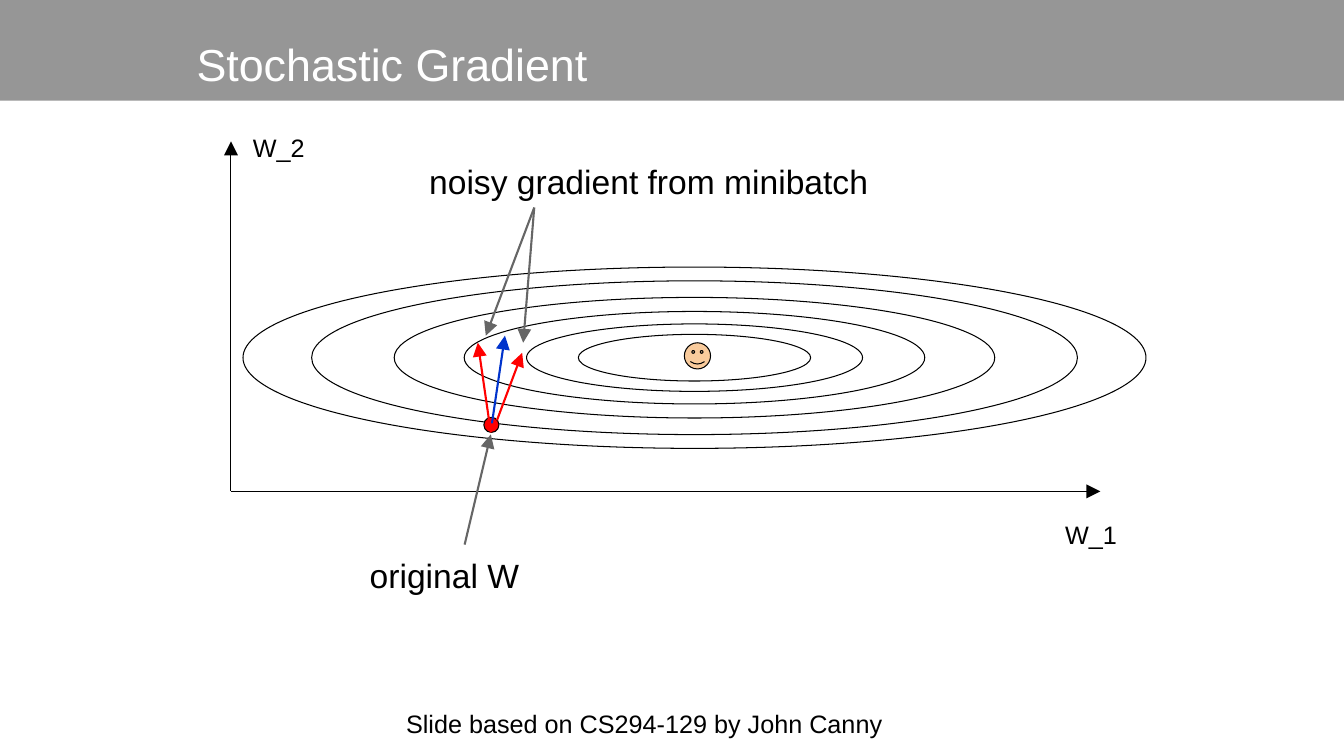
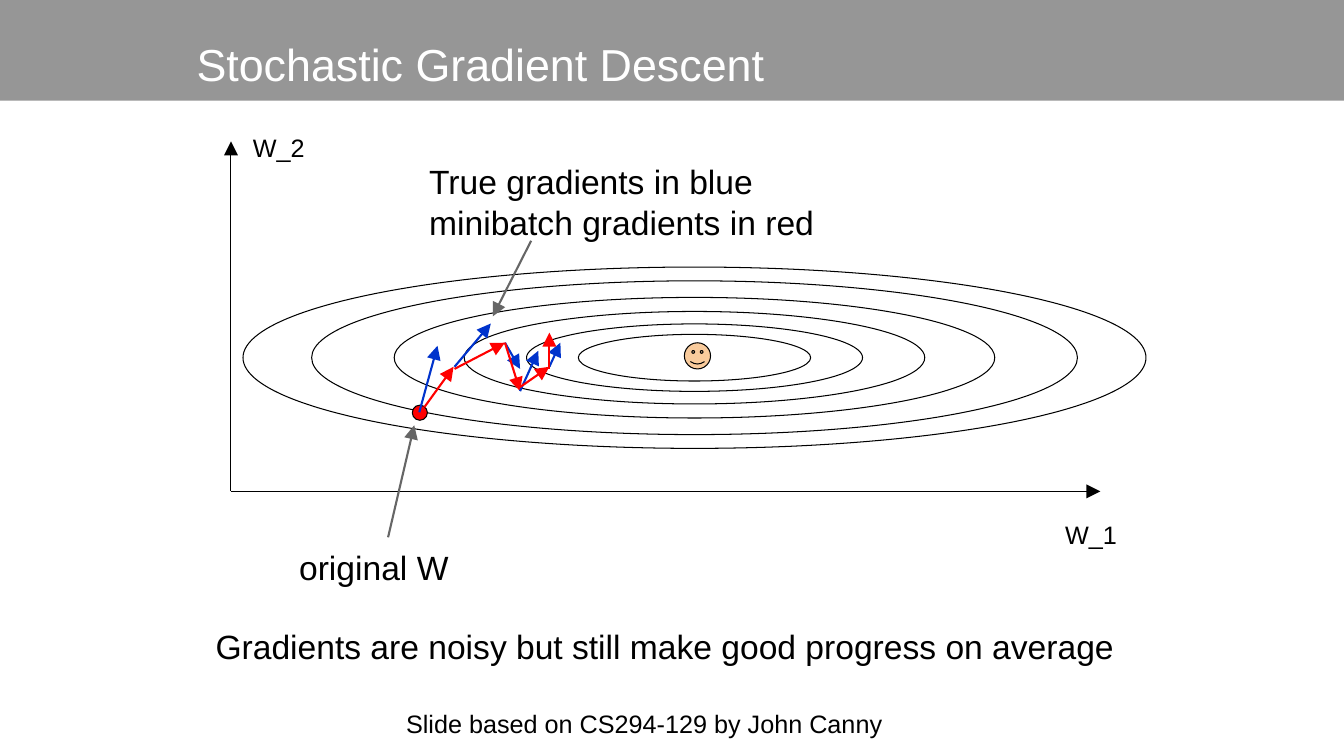
from lxml import etree
from pptx import Presentation
from pptx.dml.color import RGBColor
from pptx.enum.shapes import MSO_CONNECTOR, MSO_SHAPE as SHAPE
from pptx.enum.text import MSO_ANCHOR, PP_ALIGN
from pptx.oxml.ns import qn
from pptx.util import Pt

FONT = "Arial"
BLACK, WHITE, GREY = "000000", "FFFFFF", "666666"
BAND, RED, BLUE, SKIN = "969696", "FF0000", "0033CC", "F9CB9C"
color = RGBColor.from_string


def add_text(slide, text, left, top, width, height, size=24, margin=7.2):
    box = slide.shapes.add_textbox(Pt(left), Pt(top), Pt(width), Pt(height))
    frame = box.text_frame
    frame.word_wrap = True
    frame.margin_top = frame.margin_bottom = Pt(margin)
    frame.text = text
    for paragraph in frame.paragraphs:
        paragraph.font.name = FONT
        paragraph.font.size = Pt(size)
        paragraph.font.color.rgb = color(BLACK)
    return box


def add_arrow(slide, hue, x1, y1, x2, y2, weight=1.5):
    arrow = slide.shapes.add_connector(
        MSO_CONNECTOR.STRAIGHT, Pt(x1), Pt(y1), Pt(x2), Pt(y2))
    arrow.line.color.rgb = color(hue)
    arrow.line.width = Pt(weight)
    etree.SubElement(arrow.line._get_or_add_ln(), qn("a:tailEnd"),
                     type="triangle", w="lg", len="lg")
    etree.SubElement(arrow._element.spPr, qn("a:effectLst"))
    return arrow


prs = Presentation()
prs.slide_width, prs.slide_height = Pt(960), Pt(540)

# Shared title area, held by the layout
layout = prs.slide_layouts[5]
heading = layout.placeholders[0]
heading.left, heading.top = Pt(133.2), Pt(19)
heading.width, heading.height = Pt(694.8), Pt(65.5)

# Contours share one centre and one proportion
CENTER_X, CENTER_Y = 496.1, 255.5
CONTOUR_WIDTHS = [645, 547, 429, 329, 240, 166]
CONTOUR_RATIO = 4.98

# Title, note, centre of the start point, corner of its label
pages = [
    ("Stochastic Gradient", "noisy gradient from minibatch",
     (351, 303.5), (257, 389)),
    ("Stochastic Gradient Descent",
     "True gradients in blue\nminibatch gradients in red",
     (299.9, 294.8), (206.6, 383.8)),
]
slides, start_labels = [], []

for title, note, start, label_corner in pages:
    slide = prs.slides.add_slide(layout)
    if not slides:
        # Band: drawn once, then moved behind everything on the layout
        band = slide.shapes.add_shape(SHAPE.RECTANGLE, 0, 0, prs.slide_width, Pt(72))
        band.shadow.inherit = False
        band.fill.solid()
        band.fill.fore_color.rgb = color(BAND)
        band.line.fill.background()
        layout.shapes._spTree.insert(2, band._element)

    # Title
    frame = slide.shapes.title.text_frame
    frame.text = title
    frame.vertical_anchor = MSO_ANCHOR.TOP
    frame.margin_top = Pt(7.2)
    paragraph = frame.paragraphs[0]
    paragraph.alignment = PP_ALIGN.LEFT
    font = paragraph.runs[0].font
    font.name, font.size = FONT, Pt(32)
    font.color.rgb = color(WHITE)

    # Axes
    add_arrow(slide, BLACK, 165, 351, 786, 351, 0.75)
    add_arrow(slide, BLACK, 165, 351, 165, 101, 0.75)
    add_text(slide, "W_1", 753.8, 364, 73.4, 32, 18)
    add_text(slide, "W_2", 173.5, 87.5, 73.4, 32, 18)

    # Contours, start point and the smiling minimum
    marks = [(SHAPE.OVAL, CENTER_X, CENTER_Y, width, width / CONTOUR_RATIO, None)
             for width in CONTOUR_WIDTHS]
    marks += [(SHAPE.OVAL, *start, 10.8, 10.8, RED),
              (SHAPE.SMILEY_FACE, 498.2, 254.2, 18.7, 18.7, SKIN)]
    for kind, x, y, width, height, fill in marks:
        mark = slide.shapes.add_shape(
            kind, Pt(x - width / 2), Pt(y - height / 2), Pt(width), Pt(height))
        mark.shadow.inherit = False
        mark.line.color.rgb = color(BLACK)
        mark.line.width = Pt(0.75)
        if fill:
            mark.fill.solid()
            mark.fill.fore_color.rgb = color(fill)
        else:
            mark.fill.background()
        if kind == SHAPE.SMILEY_FACE:
            mark.adjustments[0] = 0.047

    # Notes and credit
    add_text(slide, note, 299.5, 108, 391, 41)
    start_labels.append(add_text(slide, "original W", *label_corner, 149.8, 41))
    add_text(slide, "Slide based on CS294-129 by John Canny",
             283, 502.5, 378.7, 32, 18, margin=3.6)
    slides.append(slide)

# Arrows of the single step
single_step, descent = slides
for hue, *ends in [
    (GREY, 381.6, 148.3, 347, 239.8),
    (GREY, 381.6, 148.3, 373.7, 244.8),
    (BLUE, 351.4, 302.4, 360.7, 239.8),
    (RED, 355, 300.2, 373, 252),
    (RED, 350.6, 308.9, 341.3, 244.8),
]:
    add_arrow(single_step, hue, *ends)
start_pointer = add_arrow(single_step, GREY, 331.9, 389, 350.6, 310.3)
start_pointer.begin_connect(start_labels[0], 0)

# Arrows of the descent: pointers, then true and minibatch gradients
for hue, *ends in [
    (GREY, 379.4, 172, 352, 226),
    (GREY, 277.2, 383.8, 295.9, 303.8),
    (BLUE, 299.5, 294.5, 312.5, 247),
    (RED, 303.1, 290.9, 324, 262),
    (RED, 324.7, 263.5, 360.7, 244.8),
    (BLUE, 360.7, 244.8, 371.5, 263.5),
    (BLUE, 324.7, 262, 350.6, 231.1),
    (RED, 360.7, 244.8, 371.5, 279.4),
    (BLUE, 371.5, 279.4, 384.5, 250.6),
    (RED, 371.5, 276.5, 392.4, 262),
    (BLUE, 392.4, 262, 400.3, 244.8),
    (RED, 392.4, 263.5, 392.4, 237.6),
]:
    add_arrow(descent, hue, *ends)
add_text(descent, "Gradients are noisy but still make good progress on average",
         146.9, 440, 671.8, 41)

prs.save("out.pptx")
